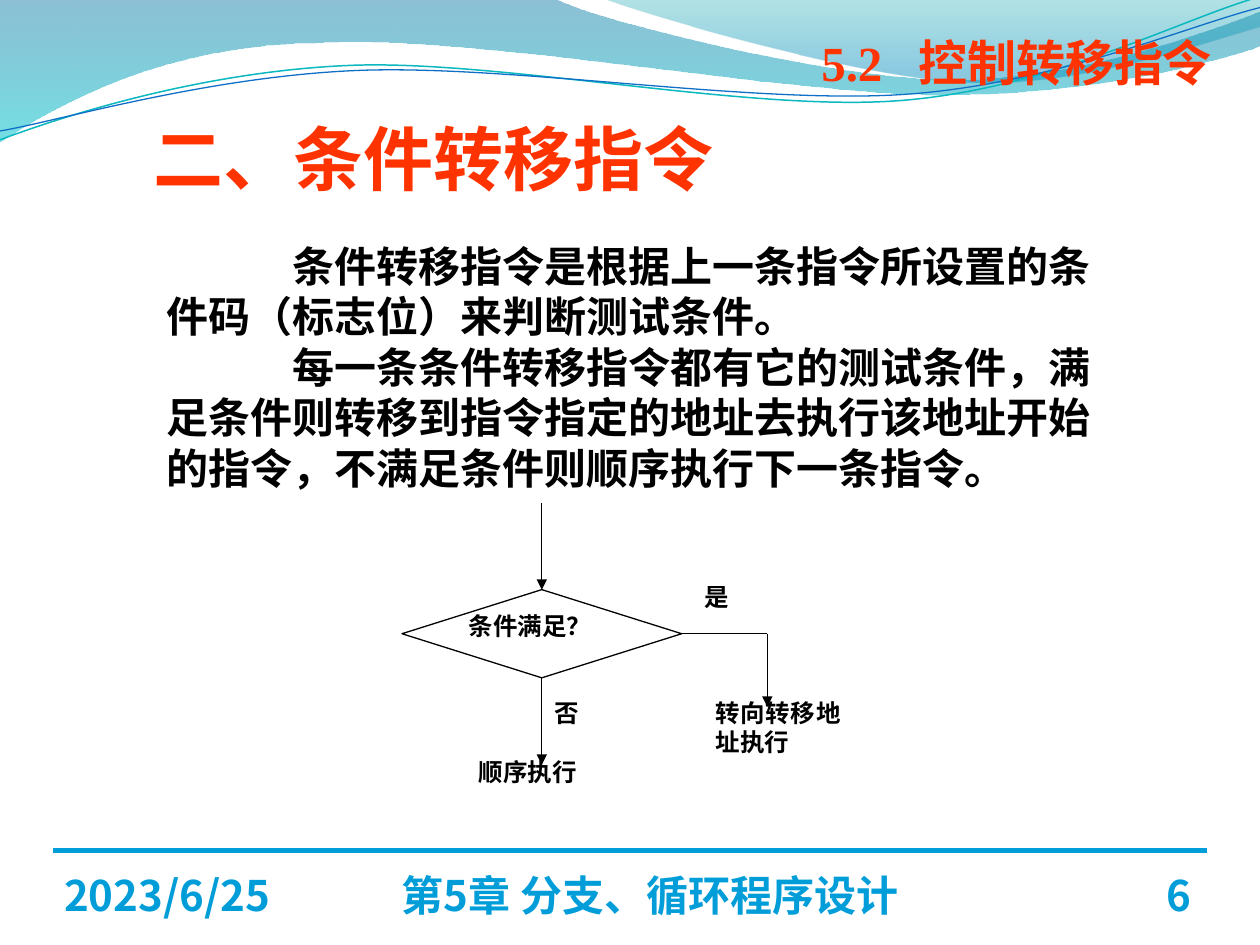
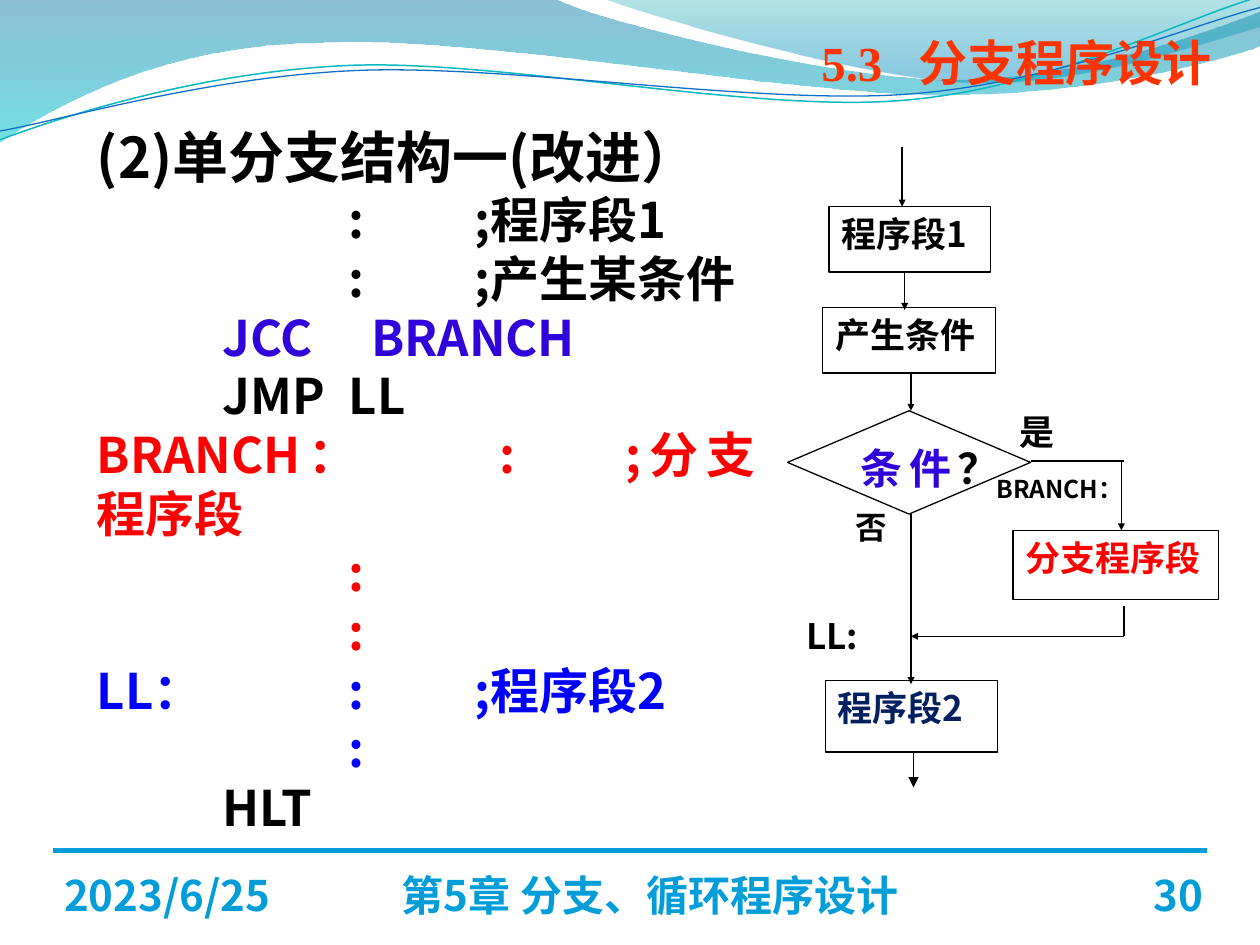
from dataclasses import dataclass

from pptx import Presentation
from pptx.dml.color import RGBColor
from pptx.enum.shapes import MSO_CONNECTOR, MSO_SHAPE
from pptx.enum.text import MSO_ANCHOR, MSO_AUTO_SIZE, PP_ALIGN
from pptx.oxml import parse_xml
from pptx.oxml.ns import nsdecls, qn
from pptx.oxml.xmlchemy import OxmlElement
from pptx.util import Inches, Pt

STRAIGHT = MSO_CONNECTOR.STRAIGHT
RECTANGLE = MSO_SHAPE.RECTANGLE
DECISION = MSO_SHAPE.FLOWCHART_DECISION
TOP, BOTTOM = MSO_ANCHOR.TOP, MSO_ANCHOR.BOTTOM
LEFT, CENTER, JUSTIFY = PP_ALIGN.LEFT, PP_ALIGN.CENTER, PP_ALIGN.JUSTIFY
NO_FIT = MSO_AUTO_SIZE.NONE

TIMES = "Times New Roman"
SANS = "Noto Sans CJK SC"
FOOTER_FONT = "Noto Sans CJK JP"
TITLE_FONT = "Calibri"

COLORS = {
    "black": "000000",
    "white": "FFFFFF",
    "title": "FF3300",
    "footer": "009DD9",
    "jump": "3103DB",
    "branch": "FF0000",
    "merge": "0000FF",
    "navy": "002060",
    "teal_line": "0AB8BF",
    "blue_line": "0F6FC6",
}

LISTING_TABS = (1, 2, 3, 4, 5)


@dataclass
class Style:
    size: float
    font: str = TIMES
    color: str = "black"
    align: PP_ALIGN = LEFT


@dataclass
class Label:
    text: str
    left: float
    top: float
    width: float
    height: float
    style: Style


@dataclass
class Node:
    label: Label
    border: str = "black"
    preset: MSO_SHAPE = RECTANGLE


@dataclass
class Link:
    x1: float
    y1: float
    x2: float
    y2: float
    head: str = ""
    color: str = "black"
    weight: float = 0.75


@dataclass
class Wave:
    start: tuple
    pieces: list
    stops: tuple = ()
    line: str = ""
    weight: float = 0


WAVES = [
    Wave((0, -0.01), [
        (4.4, -0.01), (4.76, 0.17, 6.64, 0.63, 7.58, 0.63),
        (8.53, 0.63, 9.58, 0.26, 10, 0.09), (10.01, 0.36),
        (9.83, 0.44, 8.7, 0.76, 7.46, 0.75), (6.22, 0.75, 3.82, 0.28, 2.57, 0.34),
        (1.29, 0.35, 0.46, 0.83, -0.01, 1.13)],
        stops=((0, "0074A1", 45), (100, "00C6CF", 55))),
    Wave((4.79, -0.01), [
        (5.09, 0.11, 6.82, 0.62, 7.69, 0.65), (8.56, 0.69, 9.61, 0.32, 10, 0.21),
        (10, 0)],
        stops=((0, "00A1A9", 30), (80, "008BBF", 45))),
    Wave((0, 1.11), [
        (0.48, 0.93, 1.58, 0.57, 2.77, 0.52), (3.95, 0.47, 5.93, 0.89, 7.13, 0.8),
        (8.33, 0.71, 9.38, 0.15, 9.98, -0.02)], line="teal_line", weight=0.85),
    Wave((0, 1.04), [
        (0.47, 0.96, 1.64, 0.61, 2.83, 0.56), (4.03, 0.51, 5.97, 0.83, 7.17, 0.75),
        (8.36, 0.67, 9.41, 0.21, 10, 0.06)], line="blue_line", weight=0.75),
]


def rgb(name: str) -> RGBColor:
    return RGBColor.from_string(COLORS[name])


def bend_segments(shape, wave: Wave) -> None:
    segments = iter(list(shape.element.iter(qn("a:lnTo"))))
    for piece in wave.pieces:
        group = [next(segments) for _ in range(len(piece) // 2)]
        if len(group) == 3:
            curve = OxmlElement("a:cubicBezTo")
            group[0].addprevious(curve)
            for segment in group:
                curve.append(segment[0])
                segment.getparent().remove(segment)


def draw_wave(page, wave: Wave) -> None:
    points = [(Inches(piece[i]), Inches(piece[i + 1]))
              for piece in wave.pieces for i in range(0, len(piece), 2)]
    builder = page.shapes.build_freeform(*map(Inches, wave.start), scale=1.0)
    builder.add_line_segments(points, close=bool(wave.stops))
    shape = builder.convert_to_shape()
    bend_segments(shape, wave)
    shape.shadow.inherit = False
    if wave.line:
        shape.fill.background()
        shape.line.color.rgb = rgb(wave.line)
        shape.line.width = Pt(wave.weight)
        return
    shape.line.fill.background()
    stops = "".join(
        f'<a:gs pos="{place * 1000}"><a:srgbClr val="{color}">'
        f'<a:alpha val="{alpha * 1000}"/></a:srgbClr></a:gs>'
        for place, color, alpha in wave.stops)
    gradient = parse_xml(
        f'<a:gradFill {nsdecls("a")} rotWithShape="1"><a:gsLst>{stops}</a:gsLst>'
        '<a:lin ang="5400000" scaled="0"/></a:gradFill>')
    shape.element.spPr.find(qn("a:custGeom")).addnext(gradient)


def draw_link(page, link: Link) -> None:
    ends = [Inches(value) for value in (link.x1, link.y1, link.x2, link.y2)]
    connector = page.shapes.add_connector(STRAIGHT, *ends)
    connector.line.color.rgb = rgb(link.color)
    connector.line.width = Pt(link.weight)
    properties = connector.element.spPr
    if link.head:
        arrow = OxmlElement("a:tailEnd")
        arrow.set("type", "triangle")
        arrow.set("w", link.head)
        arrow.set("len", link.head)
        properties.find(qn("a:ln")).append(arrow)
    properties.append(OxmlElement("a:effectLst"))


def add_tabs(para, *stops: float) -> None:
    tabs = OxmlElement("a:tabLst")
    for stop in stops:
        tab = OxmlElement("a:tab")
        tab.set("pos", str(Inches(stop)))
        tab.set("algn", "l")
        tabs.append(tab)
    para._p.get_or_add_pPr().append(tabs)


def format_para(para, style: Style) -> None:
    para.alignment = style.align
    font = para.font
    font.size = Pt(style.size)
    font.bold = True
    font.name = style.font
    font.color.rgb = rgb(style.color)
    east_asian = OxmlElement("a:ea")
    east_asian.set("typeface", FOOTER_FONT if style.font == FOOTER_FONT else SANS)
    para._p.pPr.find(qn("a:defRPr")).find(qn("a:latin")).addnext(east_asian)


def fill_frame(frame, text: str, style: Style, *tabs: float) -> None:
    frame.word_wrap = True
    frame.text = text
    for para in frame.paragraphs:
        if tabs:
            add_tabs(para, *tabs)
        format_para(para, style)


def draw_label(page, label: Label, *tabs: float):
    area = [Inches(value) for value in (label.left, label.top, label.width, label.height)]
    box = page.shapes.add_textbox(*area)
    fill_frame(box.text_frame, label.text, label.style, *tabs)
    return box


def draw_node(page, node: Node):
    label = node.label
    area = [Inches(value) for value in (label.left, label.top, label.width, label.height)]
    shape = page.shapes.add_shape(node.preset, *area)
    shape.shadow.inherit = False
    shape.fill.solid()
    shape.fill.fore_color.rgb = rgb("white")
    shape.line.color.rgb = rgb(node.border)
    shape.line.width = Pt(0.75)
    if label.text:
        fill_frame(shape.text_frame, label.text, label.style)
        shape.text_frame.vertical_anchor = TOP
    return shape


def clear_insets(frame, top: float = 0) -> None:
    frame.margin_left = frame.margin_right = frame.margin_bottom = 0
    frame.margin_top = Inches(top)
    frame.vertical_anchor = BOTTOM


def draw_frame(page, section: str, number: int) -> None:
    for wave in WAVES:
        draw_wave(page, wave)
    draw_link(page, Link(0.42, 6.75, 9.58, 6.75, color="footer", weight=3))
    draw_label(page, Label(section, 6.42, 0.21, 3.31, 0.57, Style(28, color="title")), 0.77)
    for text, left, width, align in (
            ("第5章 分支、循环程序设计", 3.19, 4.49, LEFT),
            (str(number), 8.94, 0.83, CENTER),
            ("2023/6/25", 0.51, 2.33, LEFT)):
        style = Style(24, FOOTER_FONT, "footer", align)
        clear_insets(draw_label(page, Label(text, left, 6.9, width, 0.4, style)).text_frame)


def build_conditional_jump(deck) -> None:
    page = deck.slides.add_slide(deck.slide_layouts[5])
    draw_frame(page, "5.2\t控制转移指令", 6)
    title = page.shapes.title
    title.left, title.top = Inches(1.22), Inches(0.91)
    title.width, title.height = Inches(4.61), Inches(0.67)
    fill_frame(title.text_frame, "二、条件转移指令", Style(40, TITLE_FONT, "title"))
    title.text_frame.auto_size = NO_FIT
    clear_insets(title.text_frame, top=0.05)
    draw_label(page, Label(
        "\t条件转移指令是根据上一条指令所设置的条件码（标志位）来判断测试条件。\n"
        "\t每一条条件转移指令都有它的测试条件，满足条件则转移到指令指定的地址去执行"
        "该地址开始的指令，不满足条件则顺序执行下一条指令。",
        1.22, 1.86, 7.75, 2.12, Style(24)), 1)
    small = Style(14, align=JUSTIFY)
    draw_node(page, Node(Label("", 3.19, 4.68, 2.22, 0.7, small), preset=DECISION))
    for link in (
            Link(4.3, 5.38, 4.3, 6.07, "med"),
            Link(4.3, 3.99, 4.3, 4.68, "med"),
            Link(5.41, 5.03, 6.09, 5.03),
            Link(6.09, 5.03, 6.09, 5.61, "med")):
        draw_link(page, link)
    for label in (
            Label("条件满足？", 3.62, 4.8, 1.54, 0.46, small),
            Label("否", 4.3, 5.49, 0.51, 0.46, small),
            Label("是", 5.49, 4.57, 0.51, 0.46, small),
            Label("顺序执行", 3.7, 5.96, 1.28, 0.58, small),
            Label("转向转移地址执行", 5.58, 5.49, 1.19, 0.93, small)):
        draw_label(page, label)


def draw_listing(page) -> None:
    lines = (
        ("(2)单分支结构一(改进）", "black"),
        ("\t\t:\t;程序段1", "black"),
        ("\t\t:\t;产生某条件", "black"),
        ("\tJCC\tBRANCH", "jump"),
        ("\tJMP\tLL", "black"),
        ("BRANCH：\t:\t;分支程序段", "branch"),
        ("\t\t:", "branch"),
        ("\t\t:", "branch"),
        ("LL：\t\t:\t;程序段2", "merge"),
        ("\t\t:", "merge"),
        ("\tHLT", "black"),
    )
    box = page.shapes.add_textbox(Inches(0.67), Inches(0.92), Inches(5.42), Inches(5.82))
    frame = box.text_frame
    frame.word_wrap = True
    frame.text = "\n".join(text for text, color in lines)
    for index, (para, (text, color)) in enumerate(zip(frame.paragraphs, lines)):
        add_tabs(para, *((1, 2.18) if color == "jump" else LISTING_TABS))
        format_para(para, Style(28 if index else 32, SANS, color, JUSTIFY))


def build_single_branch(deck) -> None:
    page = deck.slides.add_slide(deck.slide_layouts[6])
    draw_frame(page, "5.3\t分支程序设计", 30)
    draw_listing(page)
    plain = Style(20, align=JUSTIFY)
    sans = Style(20, SANS, align=JUSTIFY)
    for node in (
            Node(Label("LL:", 6.3, 4.83, 0.72, 0.5, sans), "white"),
            Node(Label("否", 6.69, 3.98, 0.56, 0.52, Style(18, align=JUSTIFY)), "white"),
            Node(Label("是", 7.99, 3.21, 0.63, 0.6, plain), "white"),
            Node(Label("BRANCH：", 7.81, 3.71, 1.32, 0.55,
                       Style(14, SANS, align=JUSTIFY)), "white"),
            Node(Label("分支程序段", 8.04, 4.21, 1.63, 0.55,
                       Style(20, color="branch", align=JUSTIFY))),
            Node(Label("程序段1", 6.58, 1.64, 1.28, 0.52, sans)),
            Node(Label("产生条件", 6.53, 2.44, 1.37, 0.52, plain)),
            Node(Label("程序段2", 6.55, 5.4, 1.37, 0.57,
                       Style(20, SANS, "navy", JUSTIFY)))):
        draw_node(page, node)
    decision = draw_node(page, Node(
        Label("条件", 6.25, 3.26, 1.93, 0.82, Style(24, color="jump", align=JUSTIFY)),
        preset=DECISION))
    question = decision.text_frame.paragraphs[0].add_run()
    question.text = "？"
    question.font.color.rgb = rgb("black")
    for link in (
            Link(7.16, 1.17, 7.16, 1.64, "sm"),
            Link(7.18, 2.16, 7.18, 2.46, "sm"),
            Link(7.23, 2.96, 7.23, 3.26, "sm"),
            Link(8.18, 3.66, 8.92, 3.66),
            Link(8.9, 3.66, 8.9, 4.21, "sm"),
            Link(8.92, 4.81, 8.92, 5.05),
            Link(8.92, 5.05, 7.23, 5.05, "sm"),
            Link(7.23, 4.08, 7.23, 5.43, "sm"),
            Link(7.25, 5.98, 7.25, 6.25, "med")):
        draw_link(page, link)


def main() -> None:
    deck = Presentation()
    deck.slide_width, deck.slide_height = Inches(10), Inches(7.5)
    build_conditional_jump(deck)
    build_single_branch(deck)
    deck.save("out.pptx")


if __name__ == "__main__":
    main()
